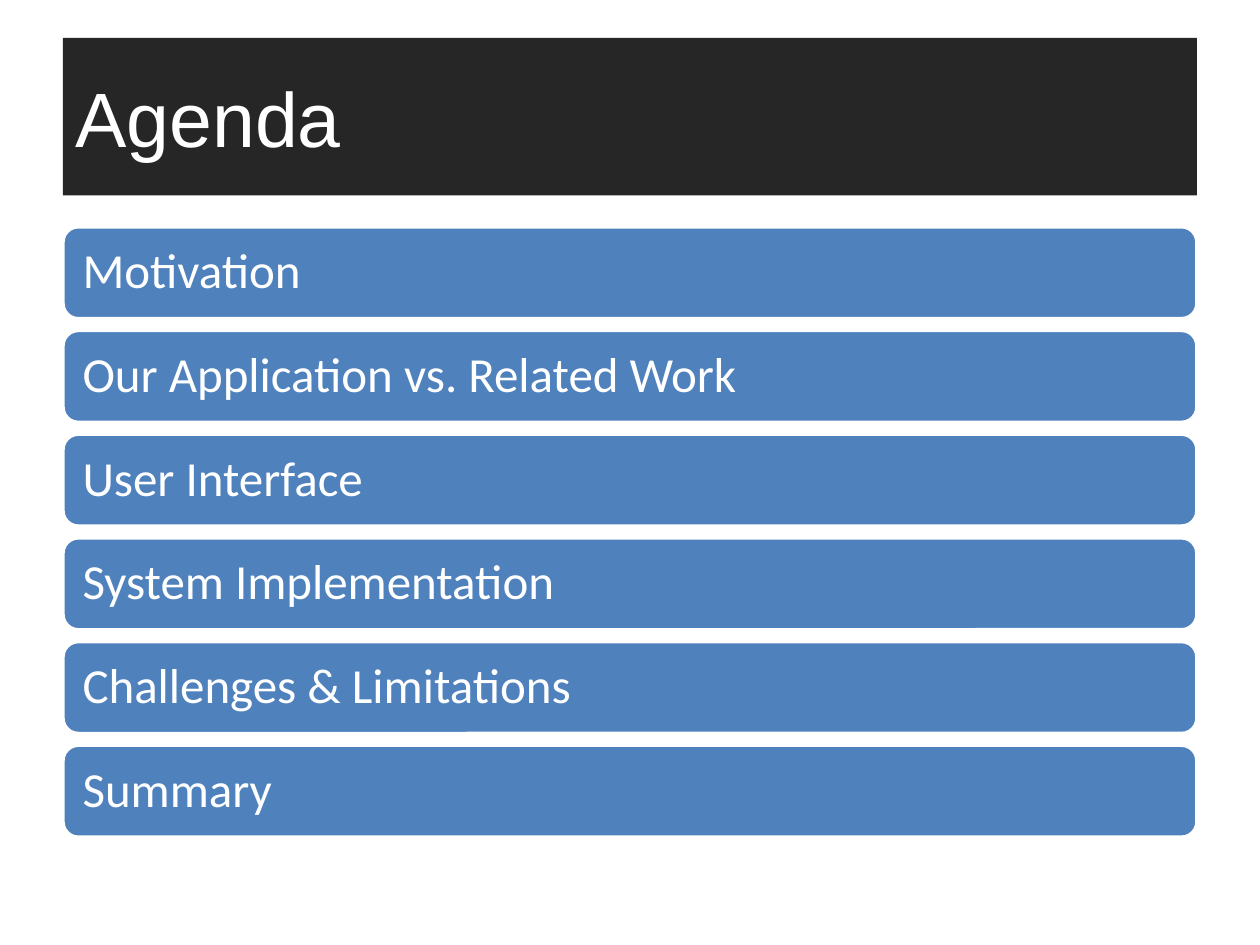
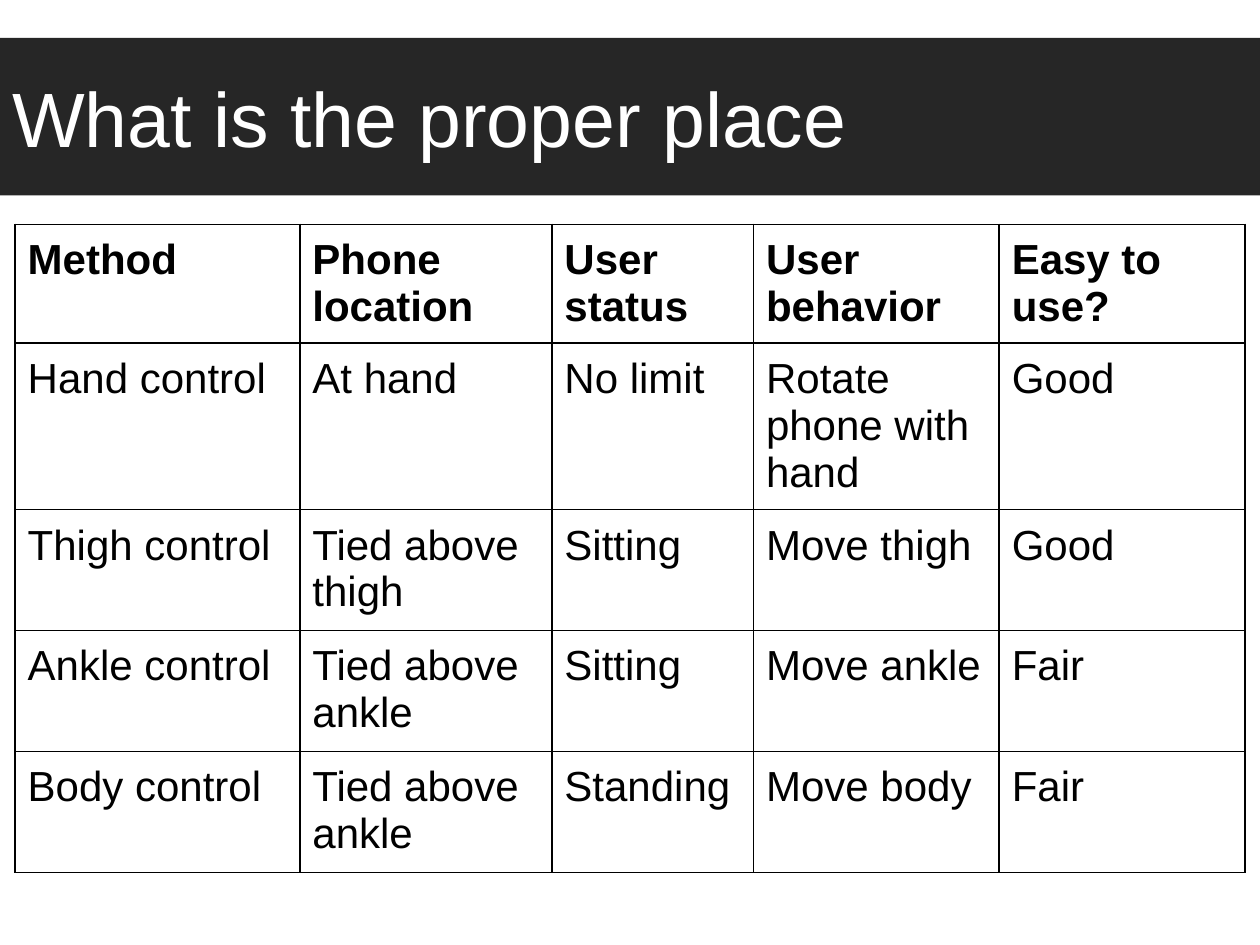
from lxml.etree import SubElement
from pptx import Presentation
from pptx.dml.color import RGBColor
from pptx.enum.shapes import MSO_SHAPE as Shape
from pptx.enum.text import MSO_ANCHOR as Anchor, PP_ALIGN as Align
from pptx.oxml.ns import qn
from pptx.util import Inches, Pt

BAND = RGBColor(0x26, 0x26, 0x26)
BLUE = RGBColor(0x4F, 0x81, 0xBD)
WHITE = RGBColor(0xFF, 0xFF, 0xFF)
BLACK = RGBColor(0x00, 0x00, 0x00)

TITLE_FONT = {"name": "Arial", "size": Pt(44)}
TOPIC_FONT = {"name": "Calibri", "size": Pt(28)}
CELL_FONT = {"name": "Arial", "size": Pt(24)}
SIDES = ("left", "top", "right", "bottom")


def write(frame, text, font, color, inset, bold=False):
    for side in SIDES:
        setattr(frame, f"margin_{side}", Inches(inset))
    frame.word_wrap = True
    para = frame.paragraphs[0]
    para.alignment = Align.LEFT
    span = para.add_run()
    span.text = text
    for name, value in {**font, "bold": bold}.items():
        setattr(span.font, name, value)
    span.font.color.rgb = color
    return para


def add_box(page, kind, left, top, width, height, fill, text, font, inset):
    box = page.shapes.add_shape(
        kind, Inches(left), Inches(top), Inches(width), Inches(height)
    )
    box.shadow.inherit = False
    box.fill.solid()
    box.fill.fore_color.rgb = fill
    box.line.fill.background()
    box.text_frame.vertical_anchor = Anchor.MIDDLE
    write(box.text_frame, text, font, WHITE, inset)
    return box


deck = Presentation()
deck.slide_width = Inches(10)
deck.slide_height = Inches(7.5)

pages = []
for title, left, width in (("Agenda", 0.5, 9), ("What is the proper place", 0, 10)):
    page = deck.slides.add_slide(deck.slide_layouts[6])
    add_box(page, Shape.RECTANGLE, left, 0.3, width, 1.25, BAND, title, TITLE_FONT, 0.1)
    pages.append(page)
agenda, comparison = pages

topics = [
    "Motivation",
    "Our Application vs. Related Work",
    "User Interface",
    "System Implementation",
    "Challenges & Limitations",
    "Summary",
]
for index, topic in enumerate(topics):
    top = 1.8 + index * 0.823
    bar = add_box(
        agenda, Shape.ROUNDED_RECTANGLE, 0.5, top, 9, 0.73, BLUE, topic, TOPIC_FONT, 0.12
    )
    bar.line.color.rgb = WHITE
    bar.line.width = Pt(2)
    bar.text_frame.paragraphs[0].line_spacing = 0.9

methods = [
    ("Method", "Phone location", "User status", "User behavior", "Easy to use?"),
    ("Hand control", "At hand", "No limit", "Rotate phone with hand", "Good"),
    ("Thigh control", "Tied above thigh", "Sitting", "Move thigh", "Good"),
    ("Ankle control", "Tied above ankle", "Sitting", "Move ankle", "Fair"),
    ("Body control", "Tied above ankle", "Standing", "Move body", "Fair"),
]
column_widths = [2.26, 2, 1.6, 1.95, 1.95]
row_heights = [0.94, 1.32, 0.96, 0.96, 0.96]

table = comparison.shapes.add_table(
    len(methods),
    len(column_widths),
    Inches(0.12),
    Inches(1.78),
    Inches(sum(column_widths)),
    Inches(sum(row_heights)),
).table
table.first_row = False
table.horz_banding = False
for column, width in zip(table.columns, column_widths):
    column.width = Inches(width)
for row, height in zip(table.rows, row_heights):
    row.height = Inches(height)

for row_index, method in enumerate(methods):
    for column_index, text in enumerate(method):
        cell = table.cell(row_index, column_index)
        for side in SIDES:
            setattr(cell, f"margin_{side}", Inches(0.1))
        write(cell.text_frame, text, CELL_FONT, BLACK, 0.1, bold=row_index == 0)
        properties = cell._tc.get_or_add_tcPr()
        for edge in ("lnL", "lnR", "lnT", "lnB"):
            border = SubElement(properties, qn(f"a:{edge}"), w=str(Pt(1)))
            paint = SubElement(border, qn("a:solidFill"))
            SubElement(paint, qn("a:srgbClr"), val=str(BLACK))
        cell.fill.background()

deck.save("out.pptx")
